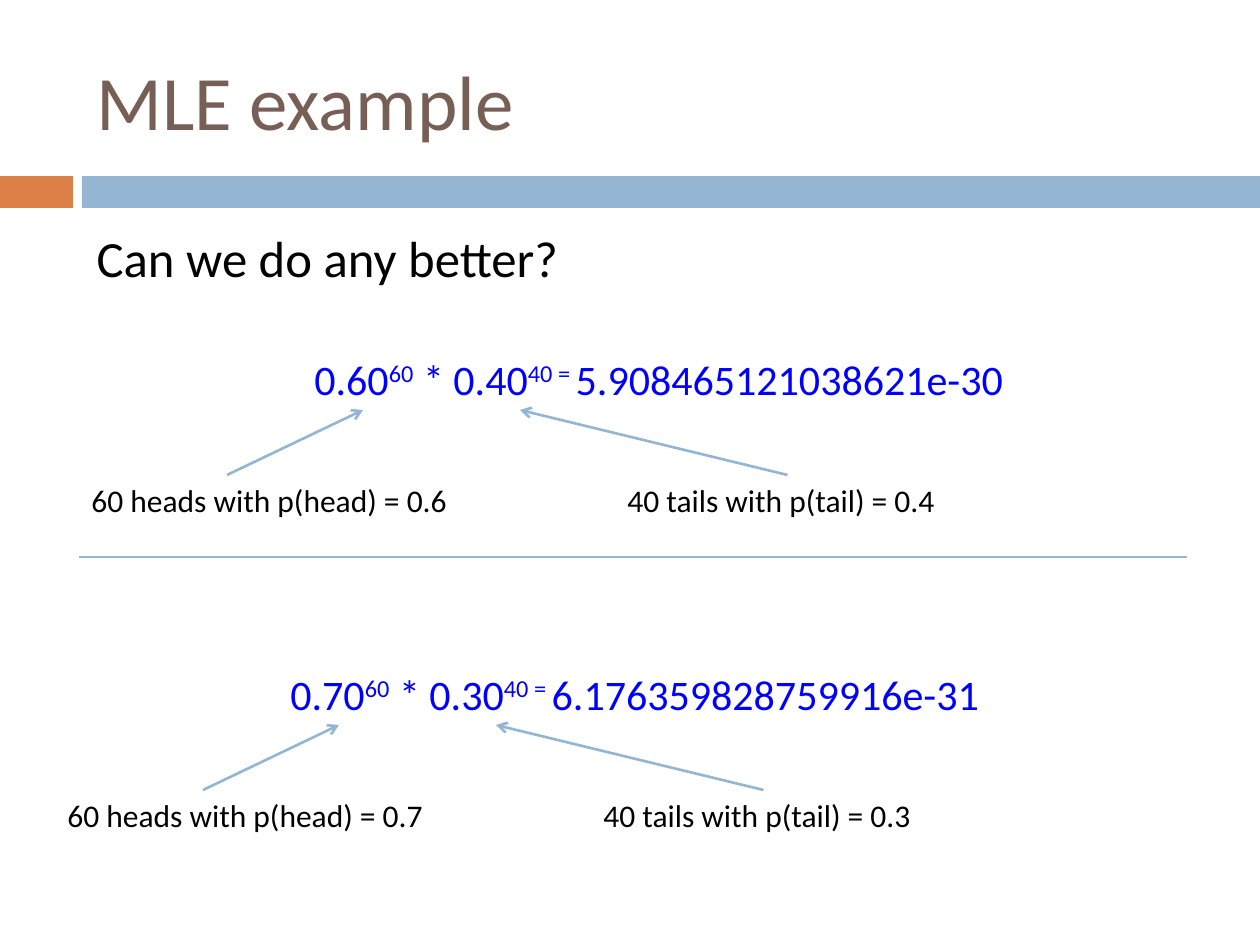
from pptx import Presentation
from pptx.dml.color import RGBColor
from pptx.enum.shapes import MSO_CONNECTOR, MSO_SHAPE
from pptx.enum.text import MSO_ANCHOR, MSO_AUTO_SIZE, PP_ALIGN
from pptx.oxml.ns import qn
from pptx.util import Emu, Pt
from lxml.etree import SubElement

BLUE, ORANGE, BROWN = "94B6D2", "DD8047", "775F55"
BLACK, FORMULA = "000000", "0000FF"


def px(n):
    """126 px to the inch."""
    return Emu(round(n * 914400 / 126))


def color(hex_text):
    return RGBColor.from_string(hex_text)


def style(font, size, hex_text):
    for name, value in {"name": "Calibri", "size": Pt(size)}.items():
        setattr(font, name, value)
    font.color.rgb = color(hex_text)


def add_bar(s, x, y, w, h, fill):
    bar = s.shapes.add_shape(MSO_SHAPE.RECTANGLE, px(x), px(y), px(w), px(h))
    bar.shadow.inherit = False
    bar.fill.solid()
    bar.fill.fore_color.rgb = color(fill)
    bar.line.fill.background()


def add_line(s, x1, y1, x2, y2, arrow=False):
    line = s.shapes.add_connector(
        MSO_CONNECTOR.STRAIGHT, px(x1), px(y1), px(x2), px(y2))
    line.line.color.rgb = color(BLUE)
    line.line.width = Pt(1.5)
    if arrow:
        SubElement(line.line._get_or_add_ln(), qn("a:tailEnd"), type="arrow")
    SubElement(line._element.spPr, qn("a:effectLst"))
    return line


def add_text(s, x, y, w, h, runs, size, hex_text, wrap=False):
    """runs: (text, raised) pairs of a single paragraph."""
    sp = s.shapes.add_textbox(px(x), px(y), px(w), px(h))
    tf = sp.text_frame
    tf.word_wrap = wrap
    tf.auto_size = MSO_AUTO_SIZE.SHAPE_TO_FIT_TEXT
    for text, raised in runs:
        r = tf.paragraphs[0].add_run()
        r.text = text
        style(r.font, size, hex_text)
        if raised:
            r._r.get_or_add_rPr().set("baseline", "30000")
    return sp


def fill_placeholder(sp, box, text, size, hex_text, anchor):
    sp.left, sp.top, sp.width, sp.height = map(px, box)
    tf = sp.text_frame
    for name, value in {"vertical_anchor": anchor, "word_wrap": True,
                        "auto_size": MSO_AUTO_SIZE.NONE}.items():
        setattr(tf, name, value)
    p = tf.paragraphs[0]
    p.alignment = PP_ALIGN.LEFT
    p.space_before = Pt(0)
    pPr = p._p.get_or_add_pPr()
    pPr.set("marL", "0")
    pPr.set("indent", "0")
    SubElement(pPr, qn("a:buNone"))
    r = p.add_run()
    r.text = text
    style(r.font, size, hex_text)


def add_header(s, x, y):
    # Two-colour band, then title and question around it
    add_bar(s, x, y + 176, 73, 32, ORANGE)
    add_bar(s, x + 82, y + 176, 1178, 32, BLUE)
    title, body = s.placeholders
    fill_placeholder(title, (x + 84, y + 32, 1124, 136), "MLE example",
                     44, BROWN, MSO_ANCHOR.MIDDLE)
    fill_placeholder(body, (x + 84, y + 220, 1124, 95),
                     "Can we do any better?", 29, BLACK, MSO_ANCHOR.TOP)


def add_likelihood(s, x, y, head, tail, result):
    # Formula
    runs = [(f"0.{head}0", False), ("60", True), (f" * 0.{tail}0", False),
            ("40 = ", True), (result, False)]
    add_text(s, x + 223, y, 809, 63, runs, 24, FORMULA, wrap=True)
    # Labels
    label_y = y + 128
    add_text(s, x, label_y, 393, 50,
             [(f"60 heads with p(head) = 0.{head}", False)], 18, BLACK)
    tails = add_text(s, x + 536, label_y, 345, 50,
                     [(f"40 tails with p(tail) = 0.{tail}", False)], 18, BLACK)
    # Arrows from the labels up to their factors
    add_line(s, x + 148, label_y, x + 284, y + 63, arrow=True)
    arrow = add_line(s, x + 709, label_y, x + 441, y + 63, arrow=True)
    arrow.begin_connect(tails, 0)


def main():
    prs = Presentation()
    prs.slide_width, prs.slide_height = px(1260), px(945)
    s = prs.slides.add_slide(prs.slide_layouts[1])
    add_header(s, 0, 0)
    add_likelihood(s, 79, 347, 6, 4, "5.908465121038621e-30")
    add_line(s, 79, 557, 1187, 557)
    add_likelihood(s, 55, 662, 7, 3, "6.176359828759916e-31")
    prs.save("out.pptx")


if __name__ == "__main__":
    main()
